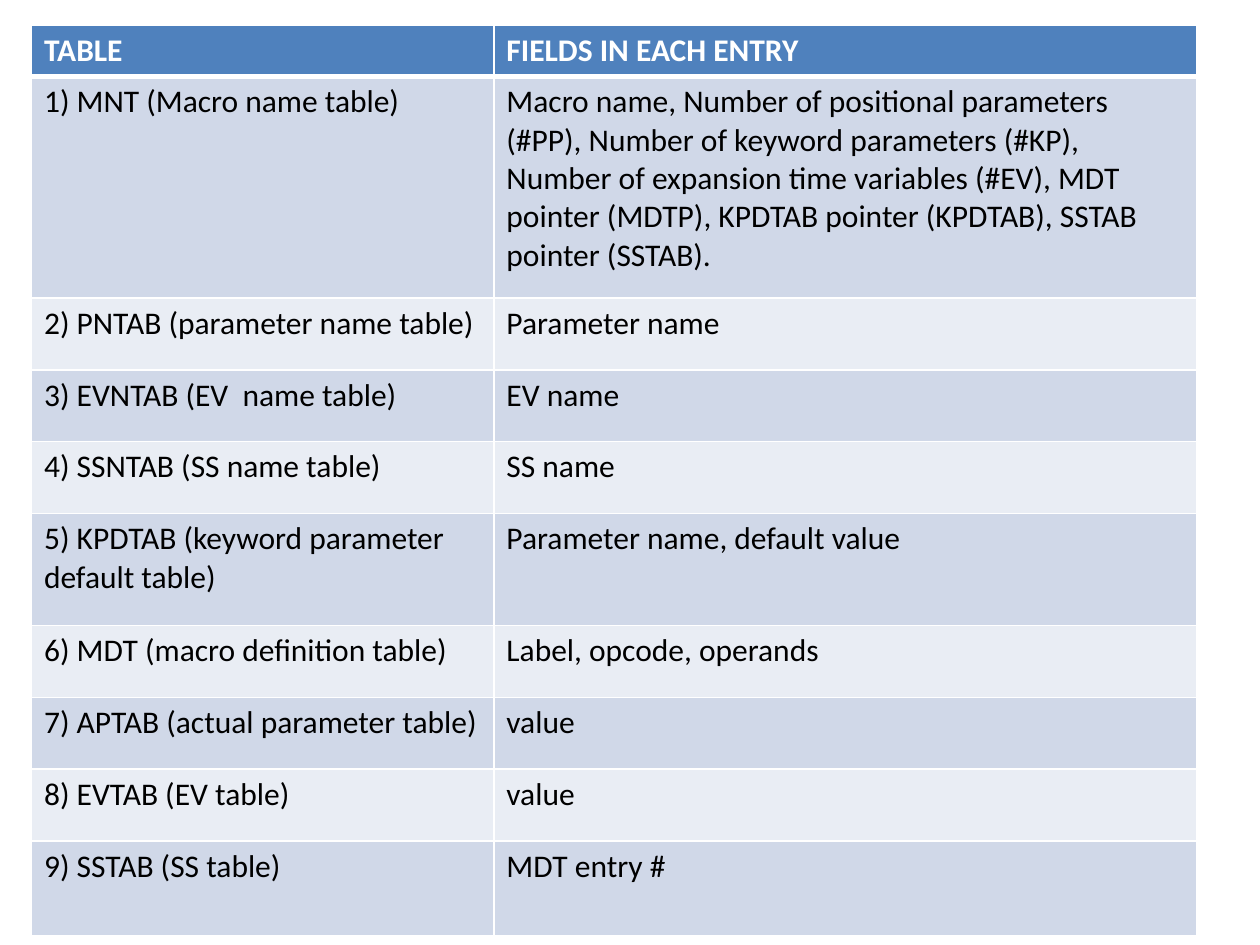
from dataclasses import dataclass

from lxml.etree import SubElement
from pptx import Presentation
from pptx.dml.color import RGBColor
from pptx.oxml.ns import qn
from pptx.util import Inches, Pt


@dataclass(frozen=True)
class Theme:
    font: str = "Calibri"
    text_size: int = 18
    header_fill: str = "4F81BD"
    header_text: str = "FFFFFF"
    body_text: str = "000000"
    band_fills: tuple = ("D0D8E8", "E9EDF4")
    border: str = "FFFFFF"
    thin: float = 1
    thick: float = 3


class SlideBuilder:
    def __init__(self, slide, theme):
        self.slide = slide
        self.theme = theme

    def table(self, left, top, column_widths, row_heights, entries):
        frame = self.slide.shapes.add_table(
            len(entries), len(column_widths), Inches(left), Inches(top),
            Inches(sum(column_widths)), Inches(sum(row_heights)))
        table = frame.table
        for column, width in zip(table.columns, column_widths):
            column.width = Inches(width)
        for row_index, (row, height) in enumerate(zip(table.rows, row_heights)):
            row.height = Inches(height)
            for cell, text in zip(row.cells, entries[row_index]):
                self.cell(cell, text, row_index)

    def cell(self, cell, text, row_index):
        theme = self.theme
        is_header = row_index == 0
        self.borders(cell, {
            "L": theme.thin,
            "R": theme.thin,
            "T": theme.thick if row_index == 1 else theme.thin,
            "B": theme.thick if is_header else theme.thin,
        })
        fill = theme.header_fill if is_header else theme.band_fills[(row_index - 1) % 2]
        cell.fill.solid()
        cell.fill.fore_color.rgb = RGBColor.from_string(fill)
        cell.text_frame.text = text
        font = cell.text_frame.paragraphs[0].runs[0].font
        font.name = theme.font
        font.size = Pt(theme.text_size)
        font.bold = is_header
        color = theme.header_text if is_header else theme.body_text
        font.color.rgb = RGBColor.from_string(color)

    def borders(self, cell, widths):
        properties = cell._tc.get_or_add_tcPr()
        for side, width in widths.items():
            line = SubElement(properties, qn(f"a:ln{side}"), w=str(Pt(width)))
            fill = SubElement(line, qn("a:solidFill"))
            SubElement(fill, qn("a:srgbClr"), val=self.theme.border)


ENTRIES = [
    ("TABLE", "FIELDS IN EACH ENTRY"),
    ("1) MNT (Macro name table)",
     "Macro name, Number of positional parameters (#PP), "
     "Number of keyword parameters (#KP), "
     "Number of expansion time variables (#EV), MDT pointer (MDTP), "
     "KPDTAB pointer (KPDTAB), SSTAB pointer (SSTAB)."),
    ("2) PNTAB (parameter name table)", "Parameter name"),
    ("3) EVNTAB (EV  name table)", "EV name"),
    ("4) SSNTAB (SS name table)", "SS name"),
    ("5) KPDTAB (keyword parameter default table)", "Parameter name, default value"),
    ("6) MDT (macro definition table)", "Label, opcode, operands"),
    ("7) APTAB (actual parameter table)", "value"),
    ("8) EVTAB (EV table)", "value"),
    ("9) SSTAB (SS table)", "MDT entry #"),
]
COLUMN_WIDTHS = [3.67, 5.58]
ROW_HEIGHTS = [0.4, 1.76, *[0.57] * 3, 0.89, *[0.57] * 3, 0.75]


def main():
    presentation = Presentation()
    presentation.slide_width = Inches(10)
    presentation.slide_height = Inches(7.5)
    slide = presentation.slides.add_slide(presentation.slide_layouts[6])
    builder = SlideBuilder(slide, Theme())
    builder.table(0.25, 0.2, COLUMN_WIDTHS, ROW_HEIGHTS, ENTRIES)
    presentation.save("out.pptx")


if __name__ == "__main__":
    main()
